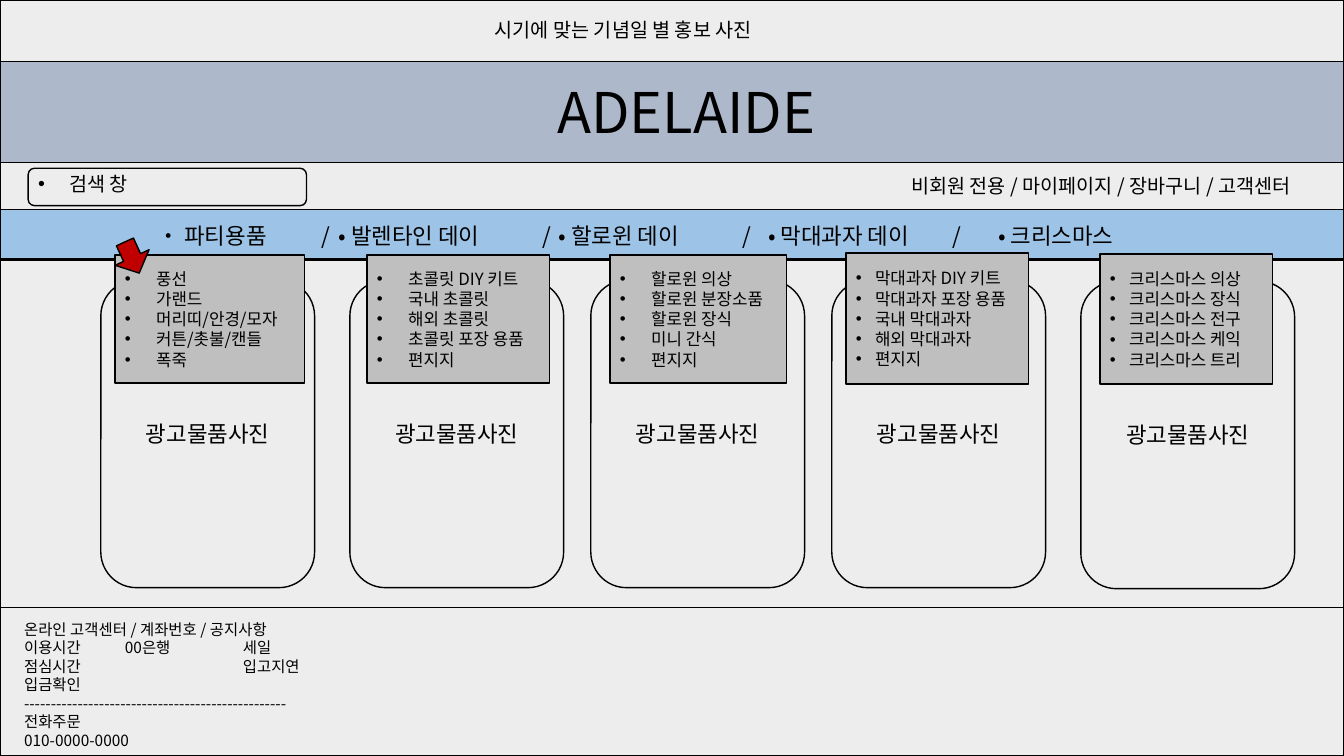
from pptx import Presentation
from pptx.dml.color import RGBColor
from pptx.enum.shapes import MSO_SHAPE
from pptx.enum.text import MSO_ANCHOR, PP_ALIGN
from pptx.oxml.ns import qn
from pptx.util import Inches, Pt
from lxml import etree

RECT, ROUND, ARROW = MSO_SHAPE.RECTANGLE, MSO_SHAPE.ROUNDED_RECTANGLE, MSO_SHAPE.RIGHT_ARROW
LEFT, CENTER = PP_ALIGN.LEFT, PP_ALIGN.CENTER
TOP, MIDDLE = MSO_ANCHOR.TOP, MSO_ANCHOR.MIDDLE
FONT = "Noto Sans CJK KR"
BLACK = RGBColor(0, 0, 0)
PALE = RGBColor(0xED, 0xED, 0xED)
SLATE = RGBColor(0xAD, 0xB9, 0xCA)
SKY = RGBColor(0x9D, 0xC3, 0xE6)
GRAY = RGBColor(0xBF, 0xBF, 0xBF)
RED = RGBColor(0xC0, 0, 0)

SLIDE_W, SLIDE_H = 13.33, 7.5
CARD_W, CARD_H = 2.12, 3.05

# top, height, fill
BANDS = [(0, 1.65, SLATE), (0, 0.61, PALE), (1.61, 0.48, PALE),
         (2.08, 0.49, SKY), (2.58, 3.46, PALE), (6.03, 1.47, PALE)]

PROMOTION = "시기에 맞는 기념일 별 홍보 사진"
SHOP_NAME = "ADELAIDE"
SEARCH = "검색 창"
ACCOUNT_LINKS = ["비회원 전용", "마이페이지", "장바구니", "고객센터"]
CARD_CAPTION = "광고물품사진"

# category, (card left, top), (list left, top, width, height), indent, goods
CATEGORIES = [
    ("파티용품", (1, 2.78), (1.14, 2.53, 1.88, 1.27), 0.31,
     ["풍선", "가랜드", "머리띠/안경/모자", "커튼/촛불/캔들", "폭죽"]),
    ("발렌타인 데이", (3.47, 2.78), (3.64, 2.53, 1.81, 1.27), 0.31,
     ["초콜릿 DIY 키트", "국내 초콜릿", "해외 초콜릿", "초콜릿 포장 용품", "편지지"]),
    ("할로윈 데이", (5.86, 2.78), (6.05, 2.53, 1.75, 1.27), 0.31,
     ["할로윈 의상", "할로윈 분장소품", "할로윈 장식", "미니 간식", "편지지"]),
    ("막대과자 데이", (8.25, 2.78), (8.39, 2.51, 1.81, 1.3), 0.19,
     ["막대과자 DIY 키트", "막대과자 포장 용품", "국내 막대과자", "해외 막대과자", "편지지"]),
    ("크리스마스", (10.72, 2.79), (10.91, 2.52, 1.71, 1.29), 0.19,
     ["크리스마스 의상", "크리스마스 장식", "크리스마스 전구", "크리스마스 케익",
      "크리스마스 트리"]),
]
MENU_TABS = [1.63, 1.8, 3.82, 3.98, 5.81, 6.06, 7.89, 8.34]

FOOTER = ["온라인 고객센터 / 계좌번호 / 공지사항", "이용시간\t00은행\t세일",
          "점심시간\t\t입고지연", "입금확인", "-" * 49, "전화주문", "010-0000-0000"]
FOOTER_TABS = [1, 2.17]


def set_bullet(paragraph, indent):
    """Give the paragraph a hanging bullet."""
    props = paragraph._p.get_or_add_pPr()
    props.set("marL", str(Inches(indent)))
    props.set("indent", str(-Inches(indent)))
    etree.SubElement(props, qn("a:buFont"), typeface="Arial")
    etree.SubElement(props, qn("a:buChar"), char="•")


def set_tabs(paragraph, stops):
    """Add left tab stops, in inches from the text edge."""
    tab_list = etree.SubElement(paragraph._p.get_or_add_pPr(), qn("a:tabLst"))
    for stop in stops:
        etree.SubElement(tab_list, qn("a:tab"), pos=str(Inches(stop)), algn="l")


def write(shape, lines, size, align=LEFT, anchor=TOP, wrap=True, indent=0, tabs=()):
    """Fill a shape with one paragraph per line."""
    frame = shape.text_frame
    for key, value in {"word_wrap": wrap, "vertical_anchor": anchor}.items():
        setattr(frame, key, value)
    for number, line in enumerate(lines):
        paragraph = frame.add_paragraph() if number else frame.paragraphs[0]
        paragraph.alignment = align
        if indent:
            set_bullet(paragraph, indent)
        if tabs:
            set_tabs(paragraph, tabs)
        run = paragraph.add_run()
        run.text = line
        for key, value in {"size": Pt(size), "name": FONT}.items():
            setattr(run.font, key, value)
        run.font.color.rgb = BLACK
        etree.SubElement(run._r.get_or_add_rPr(), qn("a:ea"), typeface=FONT)


def add_block(kind, box, fill):
    """Draw a filled shape with a thin black outline."""
    shape = slide.shapes.add_shape(kind, *map(Inches, box))
    shape.shadow.inherit = False
    shape.fill.solid()
    shape.fill.fore_color.rgb = fill
    shape.line.color.rgb = BLACK
    shape.line.width = Pt(1)
    return shape


def add_label(box, lines, size, **layout):
    """Place a text box."""
    write(slide.shapes.add_textbox(*map(Inches, box)), lines, size, **layout)


deck = Presentation()
deck.slide_width, deck.slide_height = Inches(SLIDE_W), Inches(SLIDE_H)
slide = deck.slides.add_slide(deck.slide_layouts[6])

for top, height, fill in BANDS:
    add_block(RECT, (0, top, SLIDE_W, height), fill)

add_label((4.81, 0.13, 3.1, 0.34), [PROMOTION], 14, wrap=False)
add_label((5.43, 0.72, 2.76, 0.77), [SHOP_NAME], 40, wrap=False)
add_block(ROUND, (0.28, 1.67, 2.76, 0.37), PALE)
add_label((0.28, 1.66, 1.17, 0.34), [SEARCH], 14, wrap=False, indent=0.31)
add_label((8.94, 1.68, 4.58, 0.34), [" / ".join(ACCOUNT_LINKS)], 14)

menu = "\t/\t".join("• " + category[0] for category in CATEGORIES)
add_label((1.46, 2.15, 11.19, 0.37), [menu], 16, tabs=MENU_TABS)

for _, corner, goods_box, indent, goods in CATEGORIES:
    card = add_block(ROUND, (*corner, CARD_W, CARD_H), PALE)
    write(card, [CARD_CAPTION], 16, align=CENTER, anchor=MIDDLE)
    goods_list = add_block(RECT, goods_box, GRAY)
    write(goods_list, goods, 12, anchor=MIDDLE, indent=indent)

pointer = add_block(ARROW, (1.14, 2.37, 0.34, 0.37), RED)
pointer.rotation = 65.4

add_label((0.14, 6.1, 5.98, 1.4), FOOTER, 11, tabs=FOOTER_TABS)

deck.save("out.pptx")
